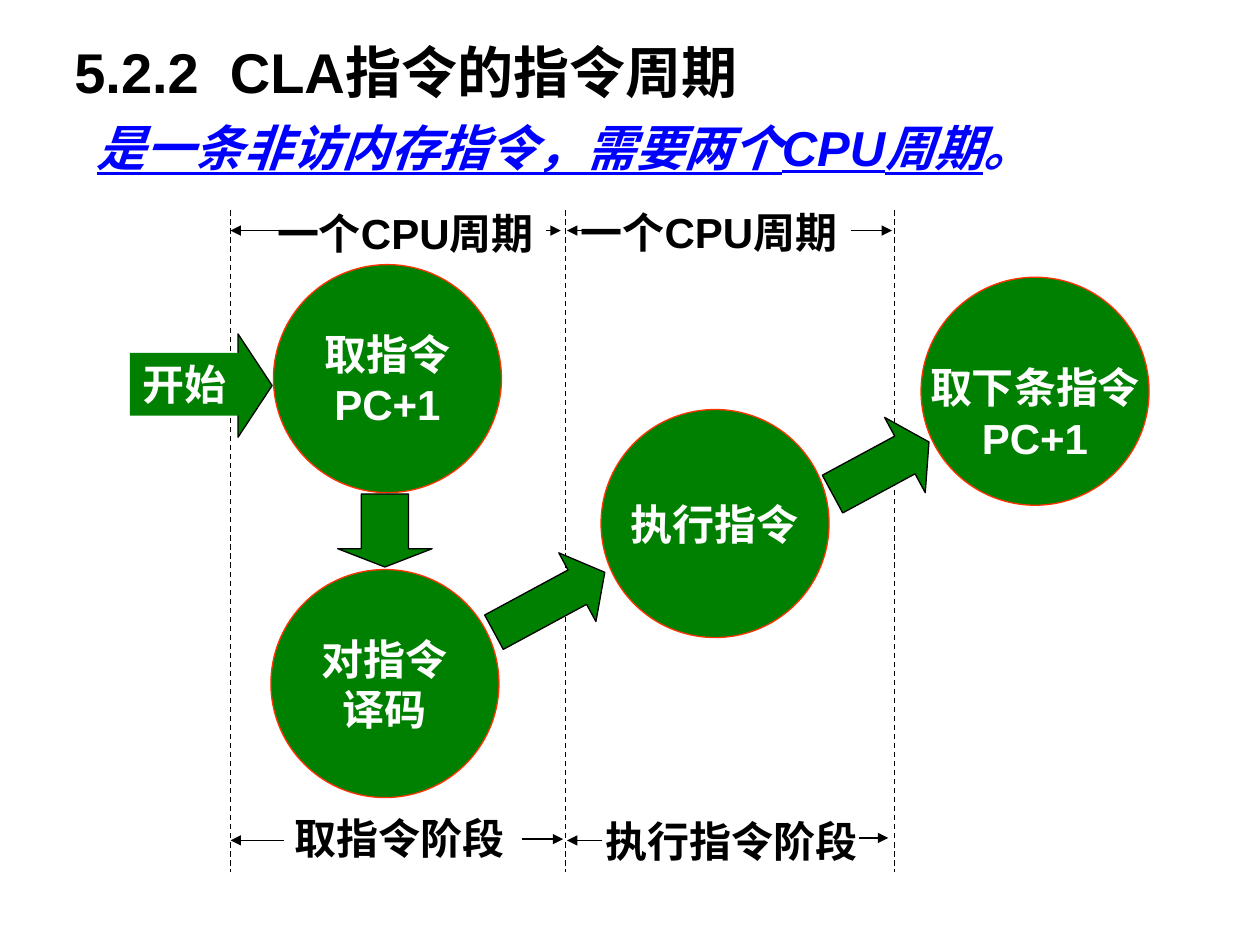
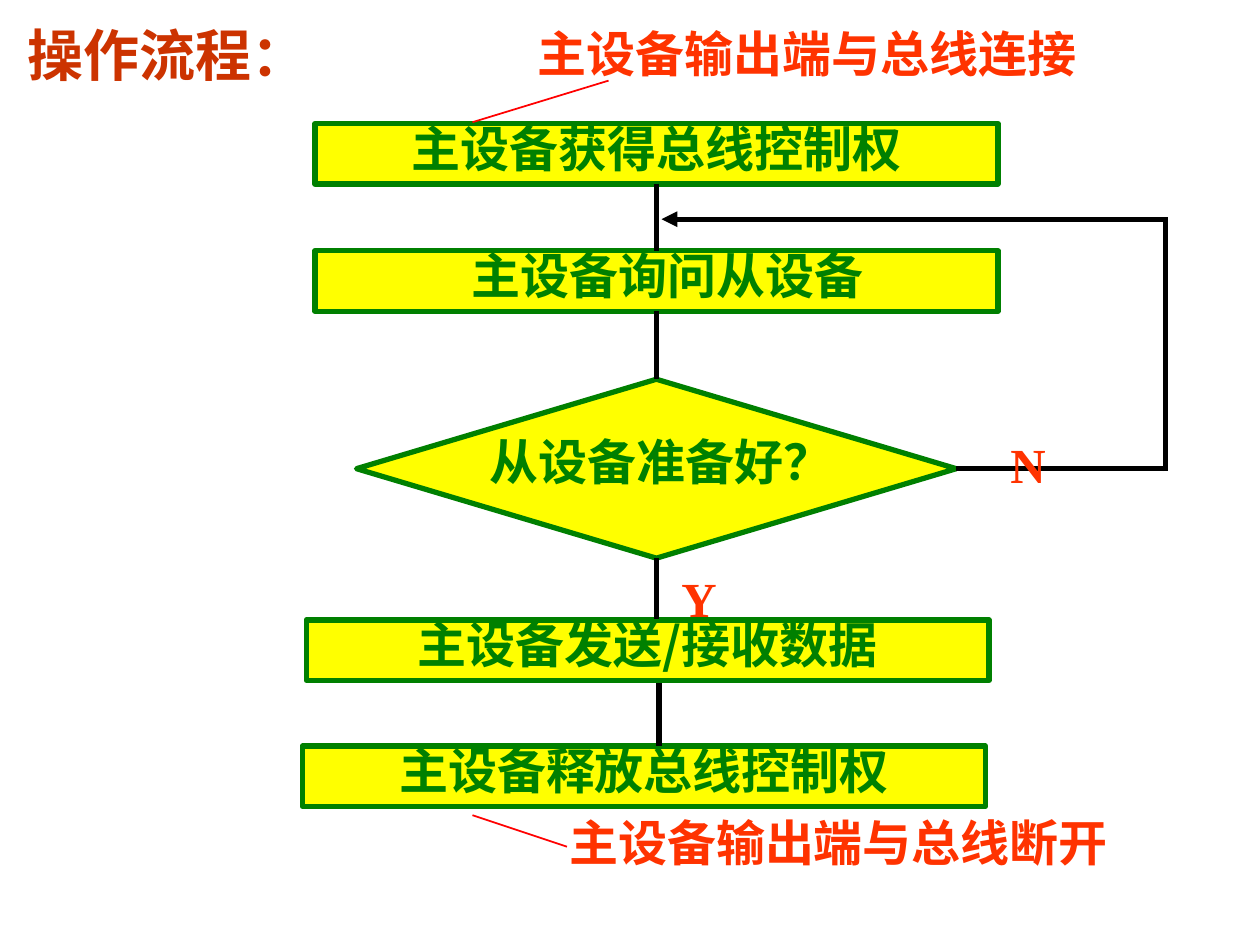
from lxml.etree import SubElement
from pptx import Presentation
from pptx.dml.color import RGBColor
from pptx.enum.dml import MSO_LINE
from pptx.enum.shapes import MSO_CONNECTOR, MSO_SHAPE
from pptx.enum.text import MSO_ANCHOR, MSO_AUTO_SIZE, PP_ALIGN
from pptx.oxml.ns import qn
from pptx.util import Inches, Pt

COLORS = {
    "black": "000000", "white": "FFFFFF", "green": "008000", "yellow": "FFFF00",
    "blue": "0000FF", "orange": "FF3300", "rust": "CC3300", "red": "FF0000",
}
CJK_FONT = "Noto Sans CJK SC"


def write(holder, text, size=24, color="black", font="Arial", align=PP_ALIGN.LEFT,
          anchor=MSO_ANCHOR.TOP, wrap=True, spacing=1.0, italic=False,
          underline=False, left=0.1, top=0.05, bottom=0.05):
    frame = holder.text_frame
    frame.auto_size = MSO_AUTO_SIZE.NONE
    frame.word_wrap = wrap
    frame.vertical_anchor = anchor
    frame.margin_left, frame.margin_right = Inches(left), Inches(0.1)
    frame.margin_top, frame.margin_bottom = Inches(top), Inches(bottom)
    for index, line in enumerate(text.split("\n")):
        paragraph = frame.add_paragraph() if index else frame.paragraphs[0]
        paragraph.alignment = align
        paragraph.line_spacing = spacing
        for part in line.split("|"):
            run = paragraph.add_run()
            run.text = part
            run.font.size = Pt(size)
            run.font.name = font
            run.font.bold = True
            run.font.italic = italic
            run.font.underline = underline
            run.font.color.rgb = RGBColor.from_string(COLORS[color])
            SubElement(run.font._element, qn("a:ea"), typeface=CJK_FONT)


def draw_line(slide, start, end, color="black", width=0.75, dashed=False, arrow=False):
    line = slide.shapes.add_connector(
        MSO_CONNECTOR.STRAIGHT, *[Inches(v) for v in (*start, *end)])
    line.line.color.rgb = RGBColor.from_string(COLORS[color])
    line.line.width = Pt(width)
    if dashed:
        line.line.dash_style = MSO_LINE.DASH
    if arrow:
        SubElement(line.line._get_or_add_ln(), qn("a:tailEnd"), type="triangle")
    SubElement(line._element.spPr, qn("a:effectLst"))
    return line


prs = Presentation()
prs.slide_width, prs.slide_height = Inches(10), Inches(7.5)
title_only = prs.slide_layouts[5]

titles = [
    ("5.2.2  CLA指令的指令周期", (0.49, 0.25, 5.92, 0.64), "black", "Arial"),
    ("操作流程：", (0.12, 0.11, 2.6, 0.64), "rust", CJK_FONT),
]
for text, place, color, font in titles:
    title = prs.slides.add_slide(title_only).shapes.title
    title.left, title.top, title.width, title.height = [Inches(v) for v in place]
    write(title, text, size=32, color=color, font=font)
cycle, flow = prs.slides

block_arrows = [
    (MSO_SHAPE.RIGHT_ARROW, (1.08, 2.65, 1.08, 0.82), 0, 0.33),
    (MSO_SHAPE.DOWN_ARROW, (2.68, 3.92, 0.75, 0.58), 0, 0.25),
    (MSO_SHAPE.UP_ARROW, (4.05, 4.28, 0.62, 1), 61.6, 0.4),
    (MSO_SHAPE.UP_ARROW, (6.65, 3.28, 0.68, 0.87), 61.6, 0.32),
]
circle_size = 1.81
steps = [
    ("取指令\nPC+1", 2.17, 2.1, 0.05),
    ("对指令\n译码", 2.15, 4.52, 0.05),
    ("执行指令", 4.77, 3.25, 0.05),
    ("取下条指令\nPC+1", 7.31, 2.2, 0.38),
]
boundaries = [1.83, 4.49, 7.1]
span_arrows = [
    (2.23, 1.83, 1.83), (4.33, 4.45, 1.83), (4.66, 4.5, 1.83), (6.75, 7.08, 1.83),
    (2.25, 1.83, 6.67), (4.14, 4.47, 6.66), (4.78, 4.5, 6.67), (6.82, 7.05, 6.65),
]
span_labels = [
    ("一个CPU周期", 2.1, 1.6, 2.39), ("一个CPU周期", 4.51, 1.59, 2.39),
    ("取指令阶段", 2.24, 6.4, 1.86), ("执行指令阶段", 4.71, 6.42, 2.2),
]

for x in boundaries:
    draw_line(cycle, (x, 1.67), (x, 6.92), dashed=True)

for text, left, top, inset in steps:
    circle = cycle.shapes.add_shape(
        MSO_SHAPE.OVAL, Inches(left), Inches(top), Inches(circle_size), Inches(circle_size))
    circle.shadow.inherit = False
    circle.fill.solid()
    circle.fill.fore_color.rgb = RGBColor.from_string(COLORS["green"])
    circle.line.color.rgb = RGBColor.from_string(COLORS["orange"])
    circle.line.width = Pt(0.75)
    write(circle, text, color="white", align=PP_ALIGN.CENTER,
          anchor=MSO_ANCHOR.MIDDLE, wrap=False, top=inset)

for kind, place, angle, head in block_arrows:
    block_arrow = cycle.shapes.add_shape(kind, *[Inches(v) for v in place])
    block_arrow.adjustments[1] = head
    block_arrow.rotation = angle
    block_arrow.shadow.inherit = False
    block_arrow.fill.solid()
    block_arrow.fill.fore_color.rgb = RGBColor.from_string(COLORS["green"])
    block_arrow.line.color.rgb = RGBColor.from_string(COLORS["black"])
    block_arrow.line.width = Pt(0.75)

start_label = cycle.shapes.add_shape(
    MSO_SHAPE.RECTANGLE, Inches(1.03), Inches(2.8), Inches(0.92), Inches(0.5))
start_label.shadow.inherit = False
start_label.fill.solid()
start_label.fill.fore_color.rgb = RGBColor.from_string(COLORS["green"])
start_label.line.fill.background()
write(start_label, "开始", color="white")

for start_x, end_x, y in span_arrows:
    draw_line(cycle, (start_x, y), (end_x, y), arrow=True)
for text, left, top, width in span_labels:
    label = cycle.shapes.add_textbox(Inches(left), Inches(top), Inches(width), Inches(0.5))
    write(label, text, wrap=False)

summary = cycle.shapes.add_textbox(Inches(0.67), Inches(0.88), Inches(8.51), Inches(0.57))
write(summary, "是一条非访内存指令，需要两个CPU周期|。", size=28, color="blue",
      italic=True, underline=True)
summary.text_frame.paragraphs[0].runs[-1].font.underline = False

box, diamond = MSO_SHAPE.RECTANGLE, MSO_SHAPE.FLOWCHART_DECISION
box_size = (5.42, 0.48)
top_inset = {"anchor": MSO_ANCHOR.TOP}
stages = [
    ("主设备获得总线控制权", box, (2.5, 0.98, *box_size), top_inset),
    ("主设备询问从设备", box, (2.5, 1.99, *box_size), {**top_inset, "left": 0.27}),
    ("从设备准备好？", diamond, (2.83, 3.01, 4.76, 1.42),
     {"anchor": MSO_ANCHOR.MIDDLE, "wrap": False, "left": 0.17, "bottom": 0.09}),
    ("主设备发送/接收数据", box, (2.43, 4.92, *box_size), top_inset),
    ("主设备释放总线控制权", box, (2.4, 5.92, *box_size), top_inset),
]
nodes = []
for text, kind, place, layout in stages:
    node = flow.shapes.add_shape(kind, *[Inches(v) for v in place])
    node.shadow.inherit = False
    node.fill.solid()
    node.fill.fore_color.rgb = RGBColor.from_string(COLORS["yellow"])
    node.line.color.rgb = RGBColor.from_string(COLORS["green"])
    node.line.width = Pt(3)
    write(node, text, size=28, color="green", font=CJK_FONT,
          align=PP_ALIGN.CENTER, spacing=0.8, **layout)
    nodes.append(node)
acquire, ask, ready, transfer, release = nodes

spine_x, return_x, return_y = 5.21, 9.25, 1.74
for upper, lower in [(acquire, ask), (ask, ready)]:
    link = draw_line(flow, (spine_x, 1.46), (spine_x, 1.99), width=3)
    link.begin_connect(upper, 2)
    link.end_connect(lower, 0)
yes_branch = draw_line(flow, (spine_x, 4.43), (spine_x, 4.91), width=3)
yes_branch.begin_connect(ready, 2)
draw_line(flow, (5.23, 5.42), (5.23, 5.92), width=3)
no_branch = draw_line(flow, (7.59, 3.72), (return_x, 3.72), width=3)
no_branch.begin_connect(ready, 3)
draw_line(flow, (return_x, 3.74), (return_x, 1.72), width=3)
draw_line(flow, (return_x, return_y), (5.25, return_y), width=3, arrow=True)

draw_line(flow, (3.75, 0.97), (4.83, 0.64), color="red", width=1)
draw_line(flow, (3.75, 6.47), (4.5, 6.72), color="red", width=1)
remarks = [
    ("Y", 5.31, 4.46, 0.83),
    ("N", 7.92, 3.4, 0.83),
    ("主设备输出端与总线连接", 4.17, 0.14, 4.75),
    ("主设备输出端与总线断开", 4.42, 6.4, 4.75),
]
for text, left, top, width in remarks:
    remark = flow.shapes.add_textbox(Inches(left), Inches(top), Inches(width), Inches(0.57))
    write(remark, text, size=28, color="orange", font="Times New Roman")

prs.save("out.pptx")
